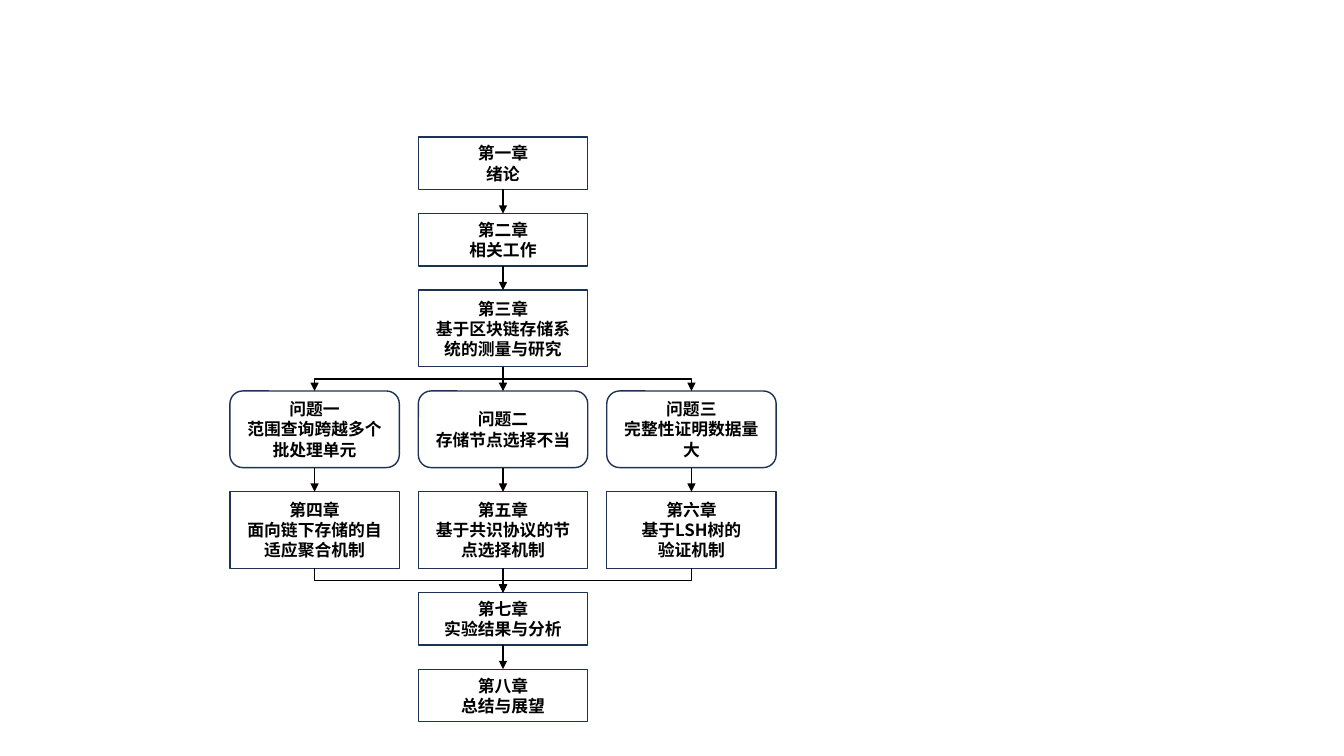
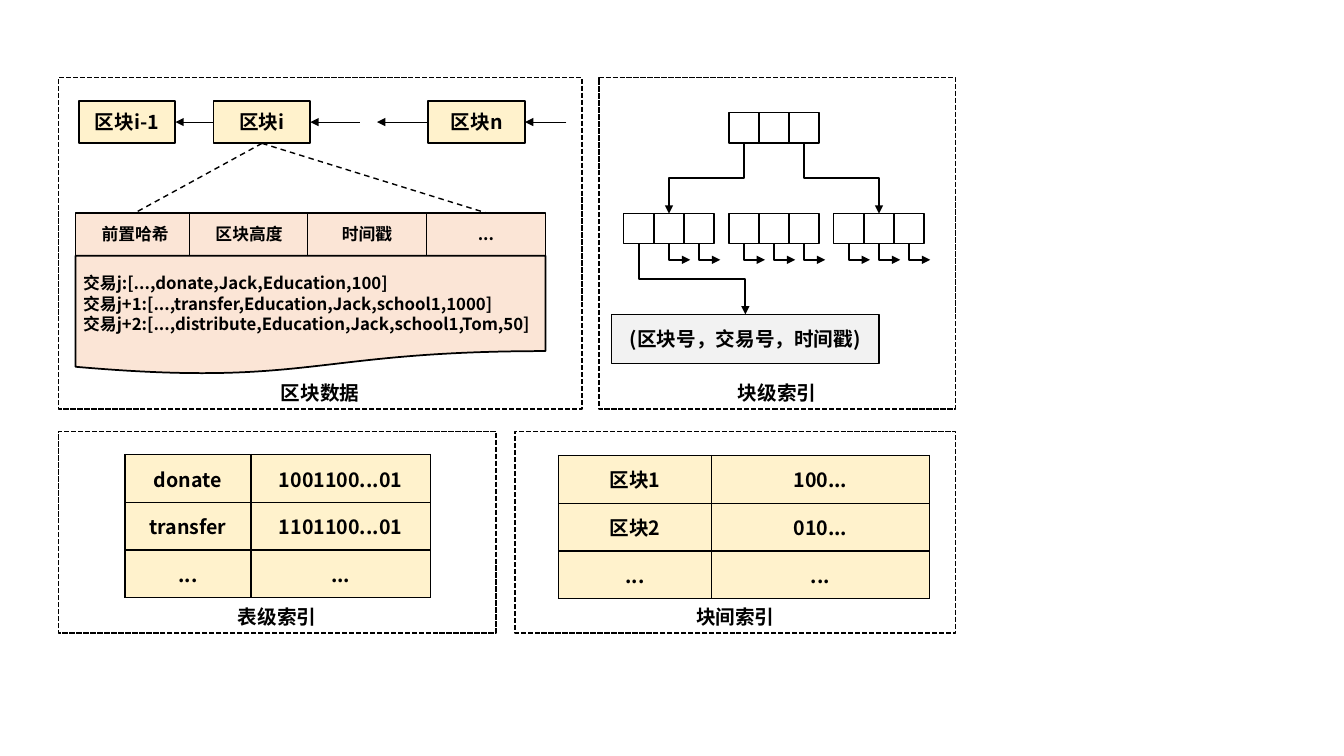
import dataclasses
import pptx
import pptx.dml.color
import pptx.enum.dml
import pptx.enum.shapes
import pptx.enum.text
import pptx.oxml.ns
import pptx.util
from lxml import etree

Pt = pptx.util.Pt
qn = pptx.oxml.ns.qn
Preset = pptx.enum.shapes.MSO_SHAPE
Connector = pptx.enum.shapes.MSO_CONNECTOR
Align = pptx.enum.text.PP_ALIGN
Anchor = pptx.enum.text.MSO_ANCHOR
Dash = pptx.enum.dml.MSO_LINE
TOP, LEFT, BOTTOM, RIGHT = range(4)


@dataclasses.dataclass(frozen=True)
class Theme:
    font: str = "Noto Sans CJK SC"
    ink: str = "000000"
    paper: str = "FFFFFF"
    navy: str = "1E3256"
    cream: str = "FFF2CC"
    peach: str = "FBE5D6"
    grey: str = "F2F2F2"
    small: float = 12
    large: float = 14
    hairline: float = 0.5
    thin: float = 1
    medium: float = 1.25
    thick: float = 1.5


@dataclasses.dataclass(frozen=True)
class Side:
    box: object
    site: int

    @property
    def point(self):
        across, down = {TOP: (0.5, 0), LEFT: (0, 0.5),
                        BOTTOM: (0.5, 1), RIGHT: (1, 0.5)}[self.site]
        return (self.box.left.pt + self.box.width.pt * across,
                self.box.top.pt + self.box.height.pt * down)


def rgb(value):
    return pptx.dml.color.RGBColor.from_string(value)


class Deck:
    def __init__(self, theme):
        self.theme = theme
        self.presentation = pptx.Presentation()
        self.presentation.slide_width = Pt(960)
        self.presentation.slide_height = Pt(540)
        self.slide = None

    def new_slide(self):
        self.slide = self.presentation.slides.add_slide(self.presentation.slide_layouts[6])

    def set_text(self, frame, lines, size, align=Align.CENTER):
        frame.text = "\n".join(lines)
        for paragraph in frame.paragraphs:
            paragraph.alignment = align
            font = paragraph.font
            font.name = self.theme.font
            font.size = Pt(size)
            font.bold = True
            font.color.rgb = rgb(self.theme.ink)
            defaults = paragraph._p.pPr.find(qn("a:defRPr"))
            etree.SubElement(defaults, qn("a:ea")).set("typeface", self.theme.font)

    def box(self, x, y, width, height, lines=(), fill=None, line=None, weight=None,
            size=None, preset=Preset.RECTANGLE, dash=None, anchor=Anchor.MIDDLE,
            align=Align.CENTER, inset=5.4):
        shape = self.slide.shapes.add_shape(preset, Pt(x), Pt(y), Pt(width), Pt(height))
        shape.shadow.inherit = False
        if fill:
            shape.fill.solid()
            shape.fill.fore_color.rgb = rgb(fill)
        else:
            shape.fill.background()
        shape.line.color.rgb = rgb(line or self.theme.ink)
        shape.line.width = Pt(weight or self.theme.medium)
        if dash:
            shape.line.dash_style = dash
        if lines:
            frame = shape.text_frame
            frame.word_wrap = True
            frame.vertical_anchor = anchor
            frame.margin_left = frame.margin_right = Pt(inset)
            frame.margin_top = frame.margin_bottom = Pt(3.6)
            self.set_text(frame, lines, size or self.theme.large, align)
        return shape

    def panel(self, x, y, width, height, caption):
        self.box(x, y, width, height, [caption], dash=Dash.SQUARE_DOT, anchor=Anchor.BOTTOM)

    def connect(self, kind, start, end, weight, dash=None, arrow=True):
        (x1, y1), (x2, y2) = (
            stop.point if isinstance(stop, Side) else stop for stop in (start, end))
        link = self.slide.shapes.add_connector(kind, Pt(x1), Pt(y1), Pt(x2), Pt(y2))
        if isinstance(start, Side):
            link.begin_connect(start.box, start.site)
        if isinstance(end, Side):
            link.end_connect(end.box, end.site)
        link.line.color.rgb = rgb(self.theme.ink)
        link.line.width = Pt(weight)
        if dash:
            link.line.dash_style = dash
        properties = link._element.spPr
        if arrow:
            etree.SubElement(properties.find(qn("a:ln")), qn("a:tailEnd")).set("type", "triangle")
        etree.SubElement(properties, qn("a:effectLst"))
        return link, (x1, y1), (x2, y2)

    def line(self, start, end, weight, dash=None, arrow=True):
        self.connect(Connector.STRAIGHT, start, end, weight, dash, arrow)

    def elbow(self, start, end, weight, bends=2):
        link, (x1, y1), (x2, y2) = self.connect(Connector.ELBOW, start, end, weight)
        drop, shift = y2 - y1, abs(x2 - x1)
        link.left, link.top = Pt((x1 + x2 - drop) / 2), Pt((y1 + y2 - shift) / 2)
        link.width, link.height = Pt(drop), Pt(shift)
        rightward = x2 > x1
        frame = link._element.spPr.find(qn("a:xfrm"))
        frame.set("rot", str((270 if rightward else 90) * 60000))
        frame.set("flipH", "1" if rightward else "0")
        frame.set("flipV", "0")
        link._element.spPr.find(qn("a:prstGeom")).set("prst", f"bentConnector{bends + 1}")

    def border(self, cell):
        properties = cell._tc.get_or_add_tcPr()
        for edge in ("lnL", "lnR", "lnT", "lnB"):
            outline = etree.SubElement(properties, qn(f"a:{edge}"))
            outline.set("w", str(Pt(self.theme.thin)))
            paint = etree.SubElement(outline, qn("a:solidFill"))
            etree.SubElement(paint, qn("a:srgbClr")).set("val", self.theme.ink)

    def table(self, x, y, widths, row_height, rows):
        grid = self.slide.shapes.add_table(
            len(rows), len(widths), Pt(x), Pt(y),
            Pt(sum(widths)), Pt(row_height * len(rows))).table
        for column, width in zip(grid.columns, widths):
            column.width = Pt(width)
        for row, texts in zip(grid.rows, rows):
            row.height = Pt(row_height)
            for cell, text in zip(row.cells, texts):
                self.border(cell)
                cell.fill.solid()
                cell.fill.fore_color.rgb = rgb(self.theme.cream)
                cell.vertical_anchor = Anchor.MIDDLE
                cell.margin_left = cell.margin_right = Pt(0)
                cell.margin_top = cell.margin_bottom = Pt(0)
                self.set_text(cell.text_frame, [text], self.theme.large)


def build_outline(deck):
    theme = deck.theme
    deck.new_slide()
    width, short, tall, gap = 121, 37.4, 54.7, 17.3
    middle, pitch = 298.8, 134.6
    tiers = [
        (short, [["第一章", "绪论"]]),
        (short, [["第二章", "相关工作"]]),
        (tall, [["第三章", "基于区块链存储系统的测量与研究"]]),
        (tall, [["问题一", "范围查询跨越多个批处理单元"],
                ["问题二", "存储节点选择不当"],
                ["问题三", "完整性证明数据量大"]]),
        (tall, [["第四章", "面向链下存储的自适应聚合机制"],
                ["第五章", "基于共识协议的节点选择机制"],
                ["第六章", "基于LSH树的", "验证机制"]]),
        (short, [["第七章", "实验结果与分析"]]),
        (short, [["第八章", "总结与展望"]]),
    ]
    y = 97.9
    above = []
    for height, entries in tiers:
        tier = []
        for index, lines in enumerate(entries):
            x = middle + (index - (len(entries) - 1) / 2) * pitch
            is_problem = lines[0].startswith("问题")
            preset = Preset.ROUNDED_RECTANGLE if is_problem else Preset.RECTANGLE
            tier.append(deck.box(x, y, width, height, lines, theme.paper, theme.navy,
                                 theme.thin, theme.small, preset, inset=7.2))
        if len(above) == len(tier):
            pairs = zip(above, tier)
        else:
            pairs = [(upper, lower) for upper in above for lower in tier]
        for upper, lower in pairs:
            draw = deck.line if upper.left == lower.left else deck.elbow
            draw(Side(upper, BOTTOM), Side(lower, TOP), theme.thin)
        above = tier
        y += height + gap


def draw_block_data(deck):
    theme = deck.theme
    previous, current, last = [
        deck.box(x, 72, 69.1, 30.4, [label], theme.cream)
        for x, label in ((56.2, "区块i-1"), (152.6, "区块i"), (306, "区块n"))]
    chain_y = Side(current, RIGHT).point[1]
    for start, end in (
            ((404.6, chain_y), Side(last, RIGHT)),
            (Side(last, LEFT), (269.3, chain_y)),
            ((257, chain_y), Side(current, RIGHT)),
            (Side(current, LEFT), Side(previous, RIGHT))):
        deck.line(start, end, theme.hairline)

    headers = [
        deck.box(x, 152, 85, 30.6, [label], theme.peach, size=theme.small)
        for x, label in ((54, "前置哈希"), (135.4, "区块高度"), (219.6, "时间戳"), (304.6, "..."))]
    deck.box(54, 182.6, 335.6, 85, [
        "交易j:[...,donate,Jack,Education,100]",
        "交易j+1:[...,transfer,Education,Jack,school1,1000]",
        "交易j+2:[...,distribute,Education,Jack,school1,Tom,50]",
    ], theme.peach, size=theme.small, preset=Preset.FLOWCHART_DOCUMENT, align=Align.LEFT)
    for header in (headers[0], headers[-1]):
        deck.line(Side(current, BOTTOM), Side(header, TOP), theme.thin, Dash.DASH, arrow=False)


def draw_block_index(deck):
    theme = deck.theme
    key = 21.5

    def node(x, y):
        return [deck.box(x + slot * key, y, key, key, weight=theme.thin) for slot in range(3)]

    record = deck.box(437, 224.6, 190.8, 35.3, ["(区块号，交易号，时间戳)"],
                      theme.grey, weight=theme.thin)
    root = node(520.6, 80.6)
    leaves = [node(445.6 + 75 * index, 152.6) for index in range(3)]
    for parent, child in ((root[0], leaves[0][1]), (root[2], leaves[2][1]),
                          (leaves[0][0], record)):
        deck.elbow(Side(parent, BOTTOM), Side(child, TOP), theme.thick)
    for entry in sum(leaves, [])[1:]:
        x, y = Side(entry, BOTTOM).point
        deck.elbow((x, y), (x + 15.1, y + 11.5), theme.thick, bends=1)


def build_index_structure(deck):
    deck.new_slide()
    for x, y, width, height, caption in (
            (41.8, 55.4, 373.7, 236.9, "区块数据"),
            (427.7, 55.4, 254.9, 236.9, "块级索引"),
            (41.8, 308.2, 312.5, 144, "表级索引"),
            (367.9, 308.2, 314.7, 144, "块间索引")):
        deck.panel(x, y, width, height, caption)
    draw_block_data(deck)
    draw_block_index(deck)
    deck.table(89.3, 324.7, (90, 128.2), 34.1, (
        ("donate", "1001100...01"), ("transfer", "1101100...01"), ("...", "...")))
    deck.table(398.9, 325.4, (109.4, 155.5), 34.1, (
        ("区块1", "100..."), ("区块2", "010..."), ("...", "...")))


def main():
    deck = Deck(Theme())
    build_outline(deck)
    build_index_structure(deck)
    deck.presentation.save("out.pptx")


if __name__ == "__main__":
    main()
